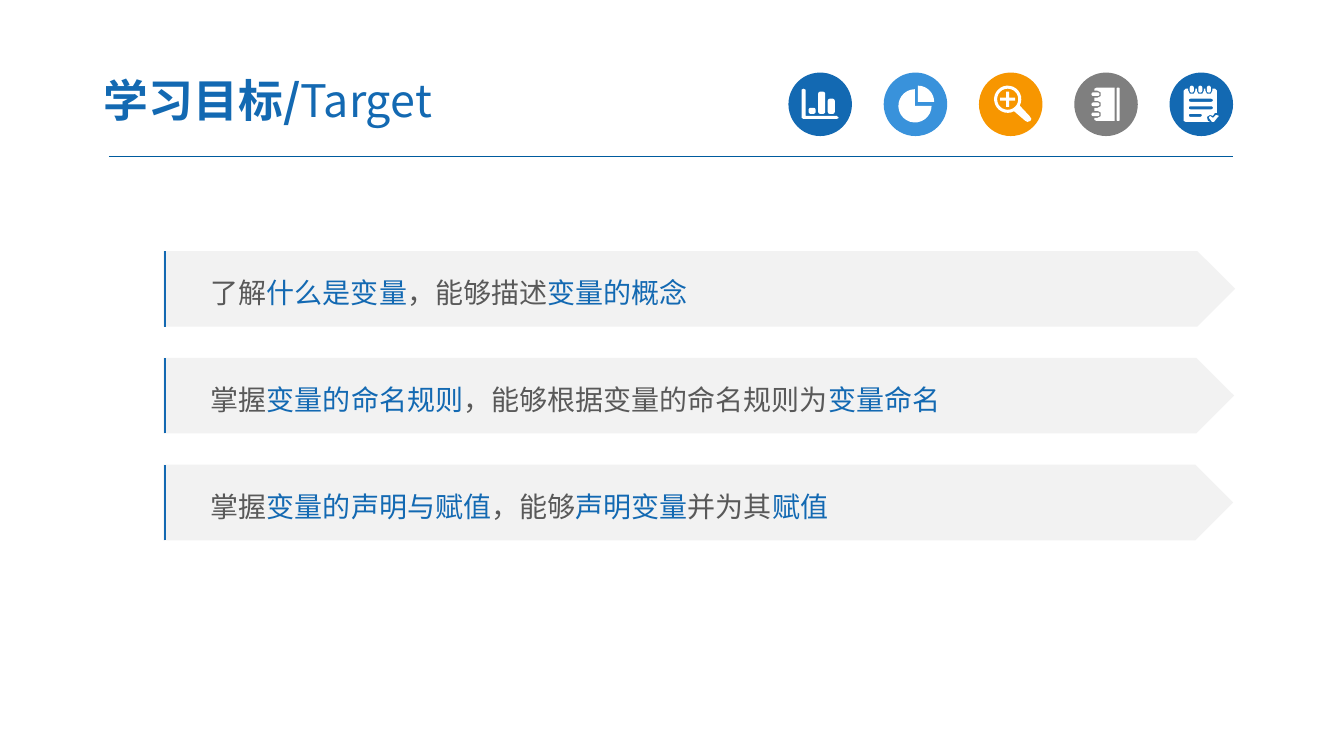
import math

import pptx
import pptx.dml.color
import pptx.enum.shapes
import pptx.enum.text
import pptx.util
from lxml import etree
from pptx.oxml.ns import qn

Inches = pptx.util.Inches
Pt = pptx.util.Pt
SHAPE = pptx.enum.shapes.MSO_SHAPE

FONT = "Noto Sans CJK SC"
BLUE, SKY, ORANGE, GRAY = "1369B2", "3992DB", "F79600", "7F7F7F"
WHITE, BAND, BODY, RULE = "FFFFFF", "F2F2F2", "595959", "005B9E"
ICON_LEFT, ICON_TOP, ICON_SIZE, ICON_STEP = 7.82, 0.72, 0.63, 0.945
MILS = 1000


def rgb(value):
    return pptx.dml.color.RGBColor.from_string(value)


class Deck:
    """Style and current slide."""

    def __init__(self, slide):
        self.s = slide

    def group(self):
        return self.s.shapes.add_group_shape().shapes

    def shape(self, shapes, kind, x, y, w, h, fill):
        sp = shapes.add_shape(kind, Inches(x), Inches(y), Inches(w), Inches(h))
        sp.shadow.inherit = False
        sp.fill.solid()
        sp.fill.fore_color.rgb = rgb(fill)
        sp.line.fill.background()
        return sp

    def outline(self, shapes, contours, x, y, fill):
        """Fill closed contours, measured from x, y, as one shape."""
        moved = [[((x + px) * MILS, (y + py) * MILS) for px, py in c] for c in contours]
        builder = shapes.build_freeform(*moved[0][0], scale=Inches(1) / MILS)
        for i, points in enumerate(moved):
            if i:
                builder.move_to(*points[0])
            builder.add_line_segments(points[1:], close=True)
        sp = builder.convert_to_shape()
        sp.shadow.inherit = False
        sp.fill.solid()
        sp.fill.fore_color.rgb = rgb(fill)
        sp.line.fill.background()

    def edge(self, shapes, x, top, bottom, color, width):
        """Draw a vertical stroke in a frame 0.16 inches wide."""
        builder = shapes.build_freeform(x * MILS, bottom * MILS, scale=Inches(1) / MILS)
        builder.add_line_segments([(x * MILS, top * MILS)], close=False)
        builder.move_to((x + 0.16) * MILS, top * MILS)
        sp = builder.convert_to_shape()
        sp.shadow.inherit = False
        sp.fill.background()
        sp.line.color.rgb = rgb(color)
        sp.line.width = Pt(width)

    def rule(self, x1, x2, y, color, width):
        cx = self.s.shapes.add_connector(
            pptx.enum.shapes.MSO_CONNECTOR.STRAIGHT,
            Inches(x1), Inches(y), Inches(x2), Inches(y))
        cx.line.color.rgb = rgb(color)
        cx.line.width = Pt(width)
        etree.SubElement(cx._element.spPr, qn("a:effectLst"))

    def text(self, tf, runs, size, spacing=1.0):
        """Fill a frame with (text, color, bold) runs."""
        tf.word_wrap = True
        tf.vertical_anchor = pptx.enum.text.MSO_ANCHOR.MIDDLE
        p = tf.paragraphs[0]
        p.alignment = pptx.enum.text.PP_ALIGN.LEFT
        p.line_spacing = spacing
        for text, color, bold in runs:
            r = p.add_run()
            r.text = text
            r.font.size = Pt(size)
            r.font.bold = bold
            r.font.color.rgb = rgb(color)
            r.font.name = FONT
            etree.SubElement(r.font._element, qn("a:ea")).set("typeface", FONT)

    def title(self, x, y, w, h, runs):
        tf = self.s.shapes.add_textbox(Inches(x), Inches(y), Inches(w), Inches(h)).text_frame
        tf.margin_left = tf.margin_right = Inches(0.13)
        tf.margin_top = tf.margin_bottom = Inches(0.07)
        self.text(tf, runs, 32)

    def icon(self, x, y, color, contours):
        shapes = self.group()
        self.shape(shapes, SHAPE.OVAL, x, y, ICON_SIZE, ICON_SIZE, color)
        self.outline(shapes, contours, x, y, WHITE)

    def goal(self, y, w, parts):
        """Draw an arrow band whose text parts alternate body and blue."""
        shapes = self.group()
        sp = self.shape(shapes, SHAPE.PENTAGON, 1.62, y, w, 0.75, BAND)
        sp.text_frame.margin_left = Inches(0.47)
        runs = [(part, (BODY, BLUE)[i % 2], False) for i, part in enumerate(parts)]
        self.text(sp.text_frame, runs, 20, 1.2)
        self.edge(shapes, 1.635, y, y + 0.75, BLUE, 1.5)


def arc(cx, cy, radius, start, end, steps):
    """Points along an arc, clockwise, in degrees from the right."""
    angles = [math.radians(start + (end - start) * i / steps) for i in range(steps + 1)]
    return [(cx + radius * math.cos(a), cy + radius * math.sin(a)) for a in angles]


def block(x, y, w, h, radius):
    """Points of a rectangle with rounded corners."""
    right, bottom = x + w - radius, y + h - radius
    centers = [(right, bottom), (x + radius, bottom), (x + radius, y + radius), (right, y + radius)]
    return [point for i, center in enumerate(centers)
            for point in arc(*center, radius, 90 * i, 90 * i + 90, 3)]


def bar_chart():
    axes = [(0.13, 0.17), (0.15, 0.16), (0.17, 0.17), (0.17, 0.43),
            (0.48, 0.43), (0.5, 0.45), (0.48, 0.46), (0.15, 0.46), (0.13, 0.45)]
    bars = [block(0.2 + 0.095 * i, top, 0.07, 0.41 - top, 0.02)
            for i, top in enumerate((0.35, 0.19, 0.26))]
    return [axes] + bars


def pie_chart():
    return [[(0.34, 0.29)] + arc(0.34, 0.29, 0.16, 270, 360, 8),
            [(0.31, 0.33)] + arc(0.31, 0.33, 0.165, 0, 270, 20)]


def magnifier():
    x, y, arm, half = 0.285, 0.265, 0.075, 0.015
    lens = arc(x, y, 0.135, 62, 388, 24)
    handle = [(0.5, 0.43), (0.52, 0.46), (0.51, 0.48), (0.48, 0.49), (0.46, 0.48)]
    plus = [(x + dx, y + dy) for dx, dy in (
        (-half, -arm), (half, -arm), (half, -half), (arm, -half), (arm, half), (half, half),
        (half, arm), (-half, arm), (-half, half), (-arm, half), (-arm, -half), (-half, -half))]
    return [lens + handle, arc(x, y, 0.105, 0, 345, 23), plus]


def notebook():
    rings = [0.215 + 0.1 * i for i in range(3)]
    page = [(0.4, 0.48), (0.4, 0.15), (0.22, 0.15), (0.2, 0.16)]
    for y in rings:
        page += [(0.2, y - 0.035), (0.23, y - 0.035), (0.26, y - 0.02),
                 (0.26, y + 0.02), (0.23, y + 0.035), (0.2, y + 0.035)]
    page += [(0.2, 0.47), (0.22, 0.48)]
    return [block(0.42, 0.15, 0.03, 0.33, 0.01), page] + [
        block(0.17, y - 0.018, 0.08, 0.036, 0.018) for y in rings]


def checklist():
    pins = [0.22 + 0.085 * i for i in range(3)]
    page = [(0.14, 0.48), (0.14, 0.18), (0.16, 0.16)]
    for x in pins:
        page += [(x - 0.035, 0.16), (x - 0.035, 0.18), (x - 0.02, 0.21),
                 (x + 0.02, 0.21), (x + 0.035, 0.18), (x + 0.035, 0.16)]
    page += [(0.45, 0.16), (0.47, 0.18), (0.47, 0.4), (0.45, 0.4), (0.43, 0.43),
             (0.4, 0.42), (0.37, 0.44), (0.38, 0.48), (0.4, 0.49), (0.16, 0.49)]
    tick = [(0.39, 0.45), (0.4, 0.43), (0.43, 0.45), (0.46, 0.42),
            (0.49, 0.43), (0.48, 0.44), (0.44, 0.49), (0.42, 0.49)]
    lines = [block(0.19, y, w, 0.03, 0.015)
             for y, w in ((0.26, 0.24), (0.335, 0.24), (0.41, 0.13))]
    return [page, tick] + lines + [block(x - 0.02, 0.13, 0.04, 0.07, 0.02) for x in pins]


ICONS = [(BLUE, bar_chart), (SKY, pie_chart), (ORANGE, magnifier),
         (GRAY, notebook), (BLUE, checklist)]
GOALS = [
    ("了解", "什么是变量", "，能够描述", "变量的概念"),
    ("掌握", "变量的命名规则", "，能够根据变量的命名规则为", "变量命名"),
    ("掌握", "变量的声明与赋值", "，能够", "声明变量", "并为其", "赋值"),
]


def main():
    prs = pptx.Presentation()
    prs.slide_width, prs.slide_height = Inches(13.33), Inches(7.5)
    deck = Deck(prs.slides.add_slide(prs.slide_layouts[6]))
    deck.rule(1.08, 12.23, 1.55, RULE, 0.75)
    for i, (color, contours) in enumerate(ICONS):
        deck.icon(ICON_LEFT + ICON_STEP * i, ICON_TOP, color, contours())
    deck.title(0.9, 0.63, 5.22, 0.72, [("学习目标/", BLUE, True), ("Target", BLUE, False)])
    for i, parts in enumerate(GOALS):
        deck.goal(2.49 + 1.06 * i, 10.63 - 0.01 * i, parts)
    prs.save("out.pptx")


if __name__ == "__main__":
    main()
